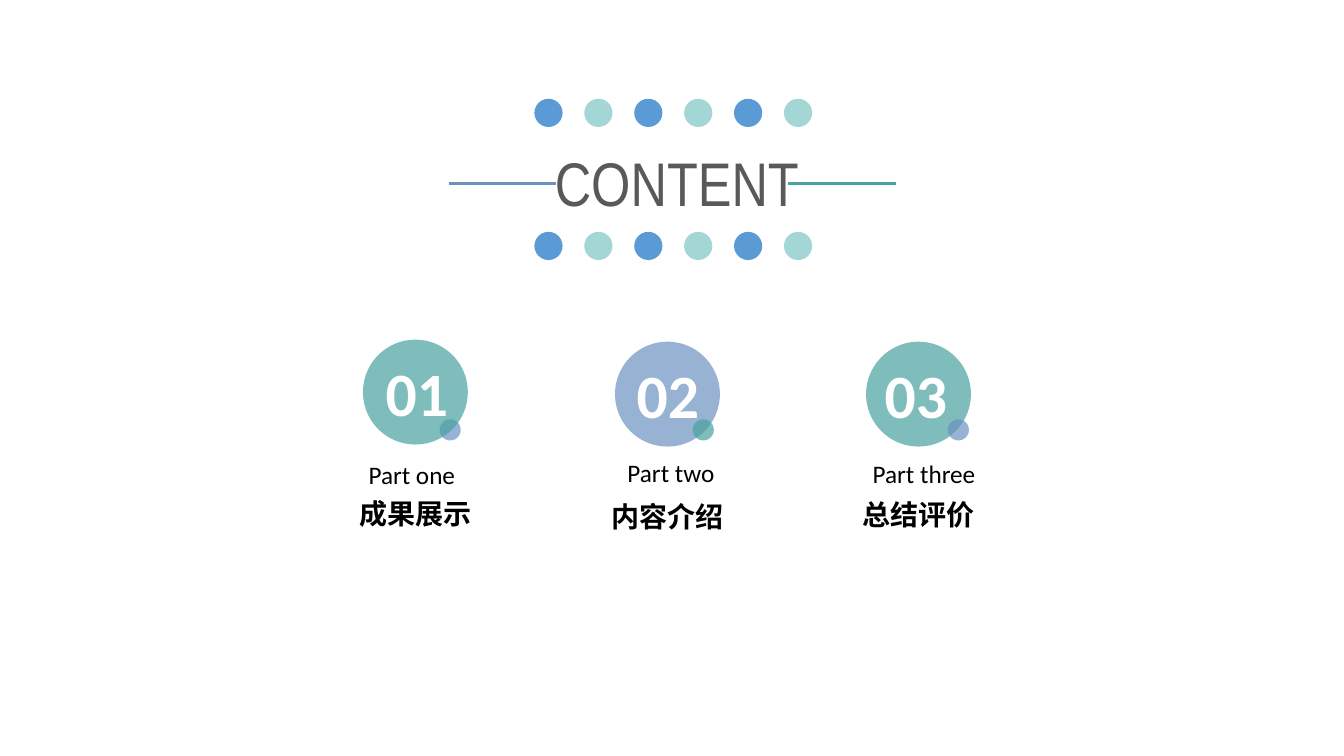
import pptx
import pptx.util
import pptx.dml.color
import pptx.enum.shapes
import pptx.enum.text
import pptx.oxml
import pptx.oxml.ns
from dataclasses import dataclass

Inches = pptx.util.Inches
Pt = pptx.util.Pt


@dataclass(frozen=True)
class Theme:
    blue: str = "6C92C0"
    teal: str = "48A2A0"
    dot_blue: str = "5B9BD5"
    dot_teal: str = "A4D6D5"
    white: str = "FFFFFF"
    black: str = "000000"
    grey: str = "595959"
    latin: str = "Calibri"
    narrow: str = "Arial Narrow"
    chinese: str = "Noto Sans CJK SC"
    large: int = 44
    heading: int = 20
    label: int = 18
    rule: int = 2
    badge_alpha: int = 70


def rgb(color):
    return pptx.dml.color.RGBColor.from_string(color)


class Deck:
    def __init__(self, prs, theme):
        self.theme = theme
        self.slide = prs.slides.add_slide(prs.slide_layouts[6])

    def group(self):
        return self.slide.shapes.add_group_shape().shapes

    def circle(self, left, top, size, color, alpha=None, shapes=None):
        """Add a borderless circle; alpha is its opacity in percent."""
        if shapes is None:
            shapes = self.slide.shapes
        sp = shapes.add_shape(pptx.enum.shapes.MSO_SHAPE.OVAL,
                              Inches(left), Inches(top), Inches(size), Inches(size))
        sp.shadow.inherit = False
        sp.fill.solid()
        sp.fill.fore_color.rgb = rgb(color)
        sp.line.fill.background()
        if alpha is not None:
            clr = sp._element.spPr.find(".//" + pptx.oxml.ns.qn("a:srgbClr"))
            clr.append(pptx.oxml.parse_xml(
                f'<a:alpha {pptx.oxml.ns.nsdecls("a")} val="{alpha * 1000}"/>'))

    def rule(self, left, right, y, color, shapes):
        line = shapes.add_connector(pptx.enum.shapes.MSO_CONNECTOR.STRAIGHT,
                                    Inches(left), Inches(y), Inches(right), Inches(y))
        line.line.color.rgb = rgb(color)
        line.line.width = Pt(self.theme.rule)
        line._element.spPr.append(pptx.oxml.parse_xml(
            f'<a:effectLst {pptx.oxml.ns.nsdecls("a")}/>'))

    def text(self, text, left, top, width, height, color, font, frame):
        """Add centred text; font and frame are dicts of attribute values."""
        sp = self.slide.shapes.add_textbox(Inches(left), Inches(top),
                                           Inches(width), Inches(height))
        tf = sp.text_frame
        tf.word_wrap = True
        for name, value in frame.items():
            setattr(tf, name, value)
        p = tf.paragraphs[0]
        p.alignment = pptx.enum.text.PP_ALIGN.CENTER
        r = p.add_run()
        r.text = text
        for name, value in font.items():
            setattr(r.font, name, value)
        r.font.color.rgb = rgb(color)
        latin = r._r.find(".//" + pptx.oxml.ns.qn("a:latin"))
        latin.addnext(pptx.oxml.parse_xml(
            f'<a:ea {pptx.oxml.ns.nsdecls("a")} typeface="{font["name"]}"/>'))
        return p

    def dot_row(self, top):
        shapes = self.group()
        for i in range(6):
            color = (self.theme.dot_blue, self.theme.dot_teal)[i % 2]
            self.circle(5.3 + 0.495 * i, top, 0.28, color, shapes=shapes)

    def title(self, text):
        t = self.theme
        p = self.text(text, 4.55, 1.39, 4.33, 0.93, t.grey,
                      {"name": t.narrow, "size": Pt(t.large)},
                      {"vertical_anchor": pptx.enum.text.MSO_ANCHOR.MIDDLE})
        p.line_spacing = 0.9
        shapes = self.group()
        self.rule(4.45, 5.51, 1.82, t.blue, shapes)
        self.rule(7.82, 8.89, 1.82, t.teal, shapes)

    def section(self, number, label, heading, badge, accent, colors, accent_behind=False):
        """Add one section; number and heading are (text, left, top), label adds a width."""
        t = self.theme
        circles = [(*badge, 1.04, colors[0]), (*accent, 0.21, colors[1])]
        if accent_behind:
            circles.reverse()
        for circle in circles:
            self.circle(*circle, alpha=t.badge_alpha)
        fit = {"auto_size": pptx.enum.text.MSO_AUTO_SIZE.SHAPE_TO_FIT_TEXT}
        unwrapped = {**fit, "word_wrap": False}
        self.text(*number, 0.83, 0.84, t.white,
                  {"name": t.latin, "size": Pt(t.large), "bold": True}, unwrapped)
        self.text(*label, 0.4, t.black,
                  {"name": t.latin, "size": Pt(t.label)}, unwrapped)
        self.text(*heading, 2.2, 0.44, t.black,
                  {"name": t.chinese, "size": Pt(t.heading), "bold": True}, fit)


def main():
    prs = pptx.Presentation()
    prs.slide_width, prs.slide_height = Inches(13.33), Inches(7.5)
    theme = Theme()
    deck = Deck(prs, theme)
    teal_first = (theme.teal, theme.blue)
    blue_first = (theme.blue, theme.teal)

    deck.section(("01", 3.72, 3.47), ("Part one", 3.55, 4.51, 1.07),
                 ("成果展示", 3.02, 4.88), (3.6, 3.37), (4.36, 4.16),
                 teal_first, accent_behind=True)
    deck.section(("02", 6.21, 3.49), ("Part two", 6.12, 4.49, 1.07),
                 ("内容介绍", 5.52, 4.91), (6.1, 3.39), (6.87, 4.16), blue_first)
    deck.section(("03", 8.67, 3.49), ("Part three", 8.55, 4.5, 1.23),
                 ("总结评价", 8.01, 4.89), (8.59, 3.39), (9.4, 4.16), teal_first)
    deck.title("CONTENT")
    for top in (2.3, 0.98):
        deck.dot_row(top)
    prs.save("out.pptx")


if __name__ == "__main__":
    main()
